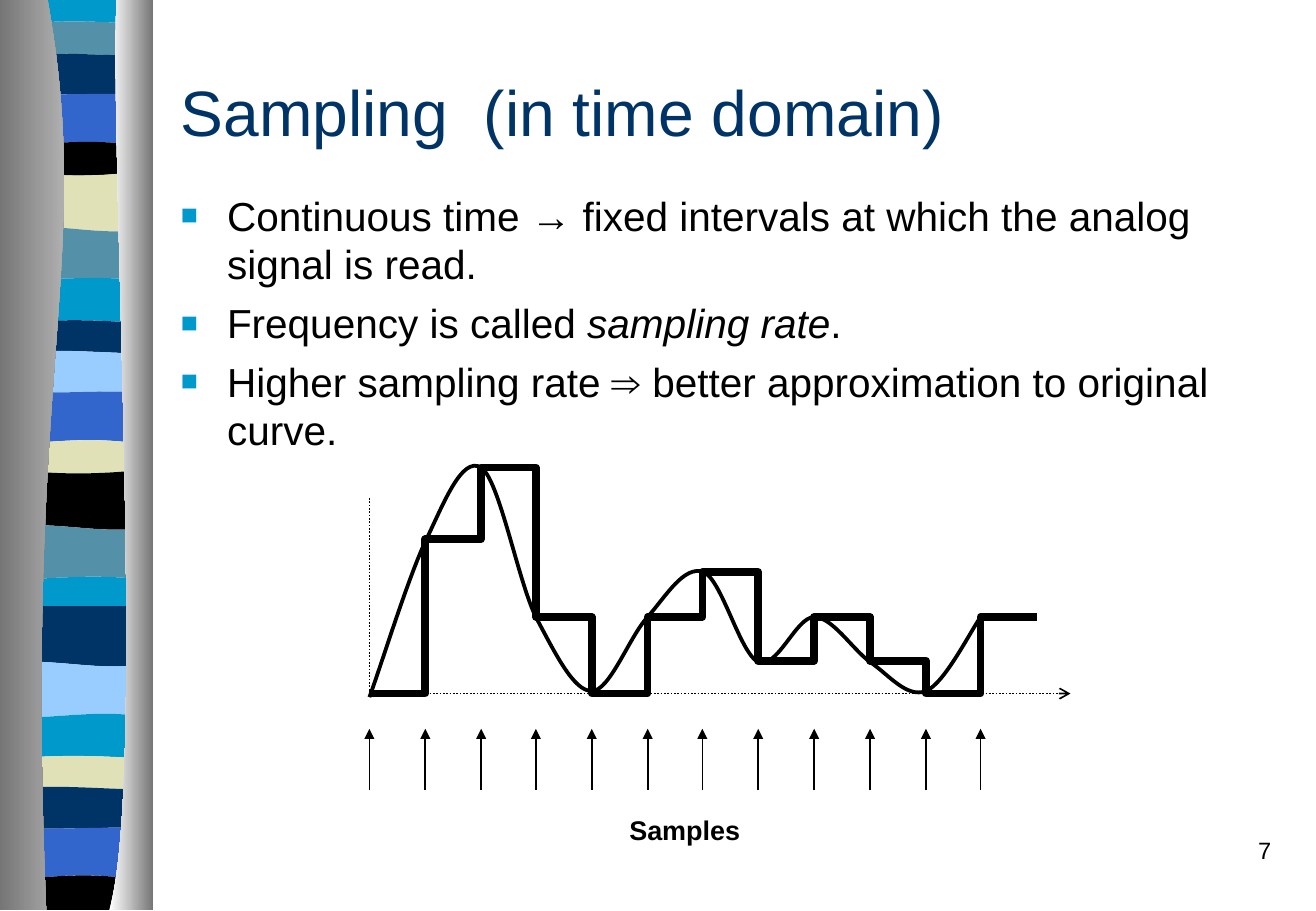
"""Slide on sampling in the time domain: striped side banner, three points and a stepped curve."""
from lxml import etree
from pptx import Presentation
from pptx import util as u
from pptx.dml.color import RGBColor
from pptx.enum import dml, shapes, text
from pptx.oxml.ns import qn

PX = 9144
COLORS = {"cyan": "0099CC", "teal": "5490A8", "navy": "003366", "blue": "3366CC",
          "black": "000000", "sand": "E1E1B7", "sky": "99CCFF",
          "grey": "767676", "silver": "CCCCCC", "white": "FFFFFF"}
RGB = {name: RGBColor.from_string(value) for name, value in COLORS.items()}


def outline(points, curve_starts=(), close=False):
    """Draw an outline; at each curve start the next three points form one cubic curve."""
    builder = slide.shapes.build_freeform(*points[0], scale=PX)
    builder.add_line_segments(points[1:], close=close)
    shape = builder.convert_to_shape()
    shape.shadow.inherit = False
    legs = list(shape._element.iter(qn("a:lnTo")))
    for start in curve_starts:
        curve, *controls = legs[start:start + 3]
        cubic = etree.Element(qn("a:cubicBezTo"))
        curve.addprevious(cubic)
        for leg in (curve, *controls):
            cubic.append(leg[0])
            leg.getparent().remove(leg)
    return shape


def segment(start, end, arrow=None, dash=None):
    """Draw a thin straight black line between two px points."""
    line = slide.shapes.add_connector(shapes.MSO_CONNECTOR.STRAIGHT,
                                      *(n * PX for n in start + end))
    line.line.color.rgb = RGB["black"]
    line.line.width = u.Pt(1)
    if dash:
        line.line.dash_style = dash
    if arrow:
        etree.SubElement(line.get_or_add_ln(), qn("a:tailEnd"), type=arrow)
    etree.SubElement(line._element.spPr, qn("a:effectLst"))


deck = Presentation()
deck.slide_width, deck.slide_height = 1083 * PX, 750 * PX
slide = deck.slides.add_slide(deck.slide_layouts[6])

stripes = [
    ("cyan", (-1, -1, -1, -1)), ("teal", (21, 16, 17, 21)), ("navy", (46, 42, 46, 46)),
    ("blue", (77, 79, 76, 78)), ("black", (121, 117, 114, 121)), ("sand", (140, 146, 146, 140)),
    ("teal", (188, 182, 196, 188)), ("cyan", (232, 230, 226, 232)), ("navy", (267, 262, 263, 267)),
    ("sky", (291, 286, 291, 291)), ("blue", (322, 325, 321, 323)), ("sand", (367, 363, 359, 367)),
    ("black", (386, 391, 391, 386)), ("teal", (434, 428, 441, 434)), ("cyan", (478, 476, 472, 478)),
    ("navy", (499, 499, 499, 499)), ("sky", (546, 541, 554, 546)), ("cyan", (591, 592, 583, 591)),
    ("sand", (625, 621, 622, 625)), ("navy", (650, 645, 650, 650)), ("blue", (681, 684, 680, 682)),
    ("black", (726, 720, 718, 726)),
]
edges = [list(zip((6, 45, 84, 123), heights)) for _, heights in stripes + [("", (749,) * 4)]]
panels = [(top + bottom[::-1], (0, 4), (name,))
          for (name, _), top, bottom in zip(stripes, edges, edges[1:])]
panels += [
    ([(39, -1), (78, 216), (19, 296), (38, 749), (0, 749), (0, -1)], (0,), ("grey", "silver")),
    ([(96, -1), (90, 125), (121, 646), (90, 749), (126, 749), (126, -1)], (0,), ("white", "grey")),
]
for points, curve_starts, shades in panels:
    panel = outline(points, curve_starts, close=True)
    panel.line.fill.background()
    if len(shades) == 1:
        panel.fill.solid()
        panel.fill.fore_color.rgb = RGB[shades[0]]
    else:
        panel.fill.gradient()
        panel.fill.gradient_angle = 0
        for stop, shade in zip(panel.fill.gradient_stops, shades):
            stop.color.rgb = RGB[shade]

statements = [
    [("Continuous time → fixed intervals at which the analog signal is read.", {})],
    [("Frequency is called ", {}), ("sampling rate", {"italic": True}), (".", {})],
    [("Higher sampling rate ⇒ better approximation to original curve.", {})]]
LEFT, CENTER, RIGHT = text.PP_ALIGN.LEFT, text.PP_ALIGN.CENTER, text.PP_ALIGN.RIGHT
blocks = [
    ((139, 50, 921, 83), [[("Sampling  (in time domain)", {})]], 38, "navy", LEFT, 0,
     {"vertical_anchor": text.MSO_ANCHOR.MIDDLE}),
    ((139, 152, 897, 237), statements, 24, "black", LEFT, 6, {}),
    ((508, 665, 111, 37), [[("Samples", {"bold": True})]], 16, "black", CENTER, 0,
     {"word_wrap": False}),
    ((830, 683, 226, 50), [[("7", {})]], 14, "black", RIGHT, 9, {}),
]
for box, paragraphs, size, color, align, space, frame_format in blocks:
    frame = slide.shapes.add_textbox(*(n * PX for n in box)).text_frame
    for name, value in ({"word_wrap": True} | frame_format).items():
        setattr(frame, name, value)
    for index, runs in enumerate(paragraphs):
        paragraph = frame.add_paragraph() if index else frame.paragraphs[0]
        paragraph.alignment = align
        paragraph.space_before = u.Pt(space)
        for words, run_format in runs:
            run = paragraph.add_run()
            run.text = words
            run.font.color.rgb = RGB[color]
            for name, value in ({"name": "Arial", "size": u.Pt(size)} | run_format).items():
                setattr(run.font, name, value)
        if paragraphs is statements:
            props = paragraph._p.get_or_add_pPr()
            props.set("marL", str(38 * PX))
            props.set("indent", str(-38 * PX))
            bullet_color = etree.SubElement(props, qn("a:buClr"))
            etree.SubElement(bullet_color, qn("a:srgbClr"), val=COLORS["cyan"])
            etree.SubElement(props, qn("a:buSzPct"), val="70000")
            etree.SubElement(props, qn("a:buFont"), typeface="Arial")
            etree.SubElement(props, qn("a:buChar"), char="■")

base = 571
levels = [base, 444, 385, 508, base, 508, 471, 544, 508, 544, base, 508]
times = [round(304 + 45.75 * i) for i in range(len(levels) + 1)]
dotted = dml.MSO_LINE.ROUND_DOT
segment((304, 410), (304, base), dash=dotted)
segment((304, base), (881, base), arrow="arrow", dash=dotted)

signal = [
    (304, 574), (312, 553), (335, 478), (350, 446), (365, 415), (380, 375), (396, 385),
    (411, 395), (426, 477), (441, 508), (457, 538), (472, 569), (487, 569),
    (502, 569), (518, 524), (533, 508), (548, 491), (563, 465), (579, 471),
    (594, 477), (609, 538), (624, 545), (640, 551), (655, 508), (670, 508),
    (685, 508), (701, 534), (716, 545), (731, 555), (746, 575), (762, 569),
    (777, 563), (798, 521), (807, 508)]
staircase = [corner for start, end, level in zip(times, times[1:], levels)
             for corner in ((start, level), (end, level))]
for points, curve_starts, width in ((signal, range(0, len(signal) - 1, 3), 2.25),
                                    (staircase, (), 4.5)):
    trace = outline(points, curve_starts)
    trace.fill.background()
    trace.line.color.rgb = RGB["black"]
    trace.line.width = u.Pt(width)

for time in times[:-1]:
    segment((time, 650), (time, 600), arrow="triangle")

deck.save("out.pptx")
